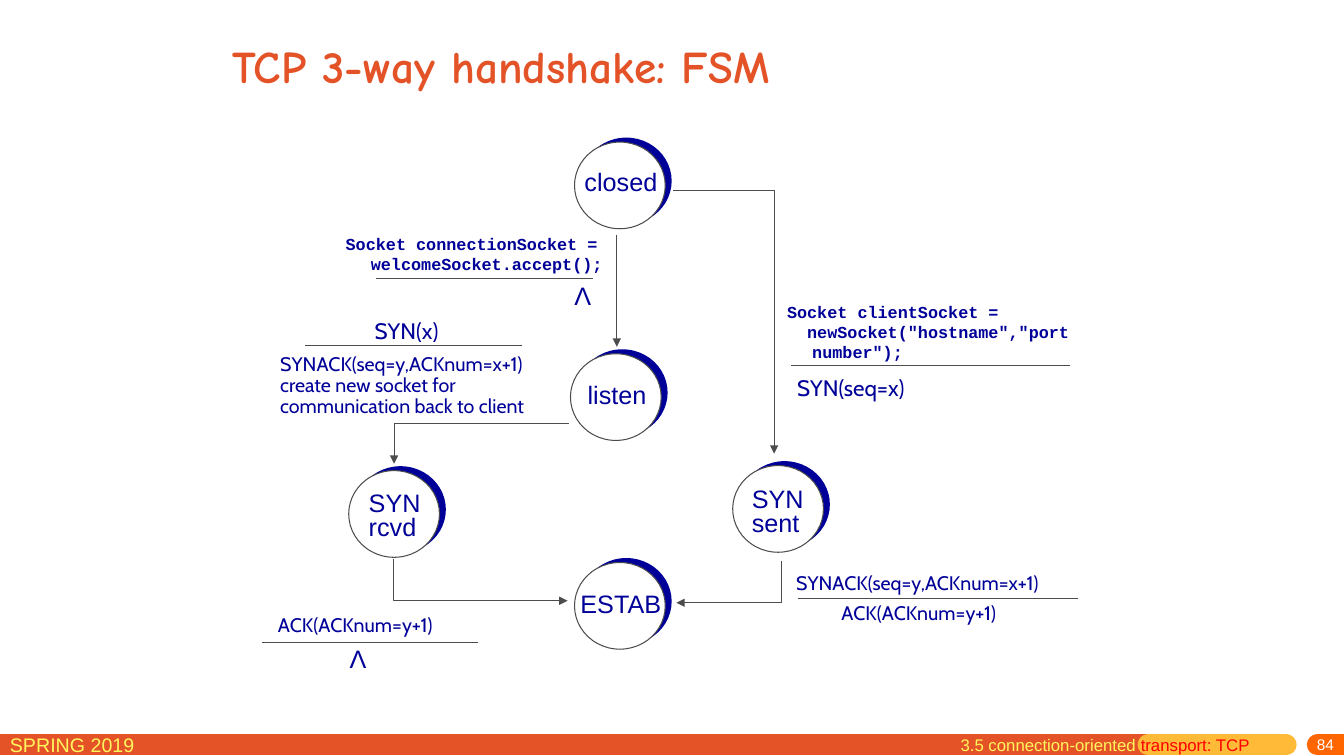
from dataclasses import dataclass

from lxml import etree
from pptx import Presentation
from pptx.dml.color import RGBColor
from pptx.enum.shapes import MSO_CONNECTOR, MSO_SHAPE
from pptx.enum.text import MSO_ANCHOR, MSO_AUTO_SIZE, PP_ALIGN
from pptx.oxml.ns import qn
from pptx.util import Pt

STRAIGHT = MSO_CONNECTOR.STRAIGHT
OVAL = MSO_SHAPE.OVAL
MIDDLE = MSO_ANCHOR.MIDDLE
FIT = MSO_AUTO_SIZE.SHAPE_TO_FIT_TEXT
NO_FIT = MSO_AUTO_SIZE.NONE
LEFT = PP_ALIGN.LEFT
RIGHT = PP_ALIGN.RIGHT

COLORS = {
    "navy": "000099",
    "gray": "4C4C4C",
    "white": "FFFFFF",
    "rust": "E45327",
    "gold": "FFBA37",
    "orange": "FF6600",
    "yellow": "FFF65C",
    "red": "FF0000",
}
NODE_W, NODE_H = 64.8, 61.9
SHADE_X, SHADE_Y = 4.6, -3.2
FOOT_Y = 532.1


@dataclass
class Note:
    x: float
    y: float
    w: float
    h: float
    lines: list[str]
    size: float
    face: str = "Arial"
    color: str = "navy"
    bold: bool = False
    wrap: bool = False
    gap: float = 1.0
    hang: float = 0


@dataclass
class Node:
    x: float
    y: float
    label: Note


@dataclass
class Line:
    x1: float
    x2: float
    y: float
    color: str = "gray"
    width: float = 0.75
    cap: bool = False


def tint(name: str) -> RGBColor:
    return RGBColor.from_string(COLORS[name])


def add_arrow(line) -> None:
    etree.SubElement(line._get_or_add_ln(), qn("a:tailEnd"), type="triangle")


def link(slide, x1: float, y1: float, x2: float, y2: float, color: str, width: float):
    shape = slide.shapes.add_connector(STRAIGHT, Pt(x1), Pt(y1), Pt(x2), Pt(y2))
    shape.line.color.rgb = tint(color)
    shape.line.width = Pt(width)
    etree.SubElement(shape._element.spPr, qn("a:effectLst"))
    return shape


def draw_line(slide, line: Line) -> None:
    shape = link(slide, line.x1, line.y, line.x2, line.y, line.color, line.width)
    if line.cap:
        shape.line._get_or_add_ln().set("cap", "rnd")


def draw_route(slide, points: list[tuple[float, float]]) -> None:
    spots = [(Pt(x), Pt(y)) for x, y in points]
    path = slide.shapes.build_freeform(*spots[0], scale=1.0)
    path.add_line_segments(spots[1:], close=False)
    shape = path.convert_to_shape()
    shape.shadow.inherit = False
    shape.fill.background()
    shape.line.color.rgb = tint("gray")
    shape.line.width = Pt(0.75)
    add_arrow(shape.line)


def write(slide, note: Note):
    box = slide.shapes.add_textbox(Pt(note.x), Pt(note.y), Pt(note.w), Pt(note.h))
    frame = box.text_frame
    frame.word_wrap = note.wrap
    frame.auto_size = FIT
    for i, text in enumerate(note.lines):
        para = frame.add_paragraph() if i else frame.paragraphs[0]
        para.text = text
        para.line_spacing = note.gap
        if note.hang:
            props = para._p.get_or_add_pPr()
            props.set("marL", str(Pt(note.hang)))
            props.set("indent", str(-Pt(note.hang)))
        para.font.name = note.face
        para.font.size = Pt(note.size)
        para.font.bold = note.bold
        para.font.color.rgb = tint(note.color)
    return frame


def draw_node(slide, node: Node) -> None:
    group = slide.shapes.add_group_shape()
    for dx, dy, color in ((SHADE_X, SHADE_Y, "navy"), (0, 0, "white")):
        disk = group.shapes.add_shape(
            OVAL, Pt(node.x + dx), Pt(node.y + dy), Pt(NODE_W), Pt(NODE_H))
        disk.shadow.inherit = False
        disk.fill.solid()
        disk.fill.fore_color.rgb = tint(color)
        if color == "navy":
            disk.line.fill.background()
        else:
            disk.line.color.rgb = tint("gray")
            disk.line.width = Pt(0.75)
    write(slide, node.label)


def draw_title(slide) -> None:
    title = slide.shapes.title
    title.left, title.top, title.width, title.height = Pt(159.1), Pt(13), Pt(456.5), Pt(67)
    frame = title.text_frame
    frame.text = "TCP 3-way handshake: FSM"
    frame.vertical_anchor = MIDDLE
    frame.auto_size = NO_FIT
    para = frame.paragraphs[0]
    para.alignment = LEFT
    para.font.name = "Comic Neue"
    para.font.size = Pt(32.4)
    para.font.bold = True
    para.font.color.rgb = tint("rust")


def draw_foot(slide) -> None:
    for bar in BARS:
        draw_line(slide, bar)
    write(slide, Note(0, 519.8, 164.9, 22.3, ["SPRING 2019"], 14, color="yellow", wrap=True))
    page = write(slide, Note(774, 527, 186, 13, ["84"], 11, color="white", wrap=True))
    page.auto_size = NO_FIT
    page.vertical_anchor = MIDDLE
    page.margin_top, page.margin_bottom = 0, Pt(3.6)
    page.paragraphs[0].alignment = RIGHT
    part = write(slide, Note(679, 521.3, 223.9, 22.3, ["3.5 connection-oriented "], 12,
                             color="yellow", wrap=True))
    run = part.paragraphs[0].add_run()
    run.text = "transport: TCP"
    run.font.color.rgb = tint("red")


BARS = [
    Line(0, 820.1, FOOT_Y, "rust", 15),
    Line(820.1, 918.7, FOOT_Y, "gold", 15, True),
    Line(941, 960, FOOT_Y, "orange", 15, True),
]
NODES = [
    Node(410.4, 101.5, Note(410.4, 115.2, 66.2, 28.8, ["closed"], 18)),
    Node(407.5, 252.7, Note(412.6, 267.1, 56.2, 28.8, ["listen"], 18)),
    Node(249.1, 336.2, Note(256.3, 348.5, 51.8, 42.5, ["SYN", "rcvd"], 18, gap=0.8)),
    Node(523.4, 332.6, Note(529.9, 345.6, 51.8, 42.5, ["SYN", "sent"], 18, gap=0.8)),
    Node(410.4, 401.8, Note(407.5, 421.2, 73.4, 24.5, ["ESTAB"], 18, gap=0.8)),
]
ROUTES = [
    [(481, 136.1), (553, 136.1), (553, 324)],
    [(406.1, 302.4), (281.5, 302.4), (281.5, 331.2)],
    [(280.8, 399.6), (280.8, 429.1), (405.4, 429.1)],
    [(558, 401), (558, 430.6), (483.1, 430.6)],
]
RULES = [
    Line(565.2, 764.6, 261.4),
    Line(268.6, 423.4, 198.7),
    Line(218.2, 373, 247),
    Line(570.2, 769.7, 427.7),
    Line(187.2, 341.3, 458.6),
]
NOTES = [
    Note(403.2, 196.6, 26.6, 28.8, ["Λ"], 18),
    Note(242.6, 455.8, 26.6, 28.8, ["Λ"], 18),
    Note(555.1, 211.7, 227.5, 51.1,
         ["Socket clientSocket =", "  newSocket(\"hostname\",\"port number\");"],
         12, "Courier New", bold=True, wrap=True, hang=18),
    Note(239.8, 163.4, 203, 36, ["Socket connectionSocket = welcomeSocket.accept();"],
         12, "Courier New", bold=True, wrap=True, hang=18),
    Note(562.3, 263.5, 99.4, 26.6, ["SYN(seq=x)"], 16, "Cabin"),
    Note(260.6, 223.2, 63.4, 26.6, ["SYN(x)"], 16, "Cabin"),
    Note(193, 249.8, 205.2, 52.6,
         ["SYNACK(seq=y,ACKnum=x+1)", "create new socket for", "communication back to client"],
         14, "Cabin", gap=0.9),
    Note(561.6, 406.1, 205.9, 22.5, ["SYNACK(seq=y,ACKnum=x+1)"], 14, "Cabin", gap=0.9),
    Note(594, 427.7, 139, 22.5, ["ACK(ACKnum=y+1)"], 14, "Cabin", gap=0.9),
    Note(191.5, 436.3, 139, 22.5, ["ACK(ACKnum=y+1)"], 14, "Cabin", gap=0.9),
]


def main() -> None:
    deck = Presentation()
    deck.slide_width, deck.slide_height = Pt(960), Pt(540)
    slide = deck.slides.add_slide(deck.slide_layouts[5])
    draw_foot(slide)
    draw_title(slide)
    for node in NODES:
        draw_node(slide, node)
    for route in ROUTES:
        draw_route(slide, route)
    add_arrow(link(slide, 440.6, 167.8, 440.6, 247.7, "gray", 0.75).line)
    for rule in RULES:
        draw_line(slide, rule)
    for note in NOTES:
        write(slide, note)
    deck.save("out.pptx")


if __name__ == "__main__":
    main()
